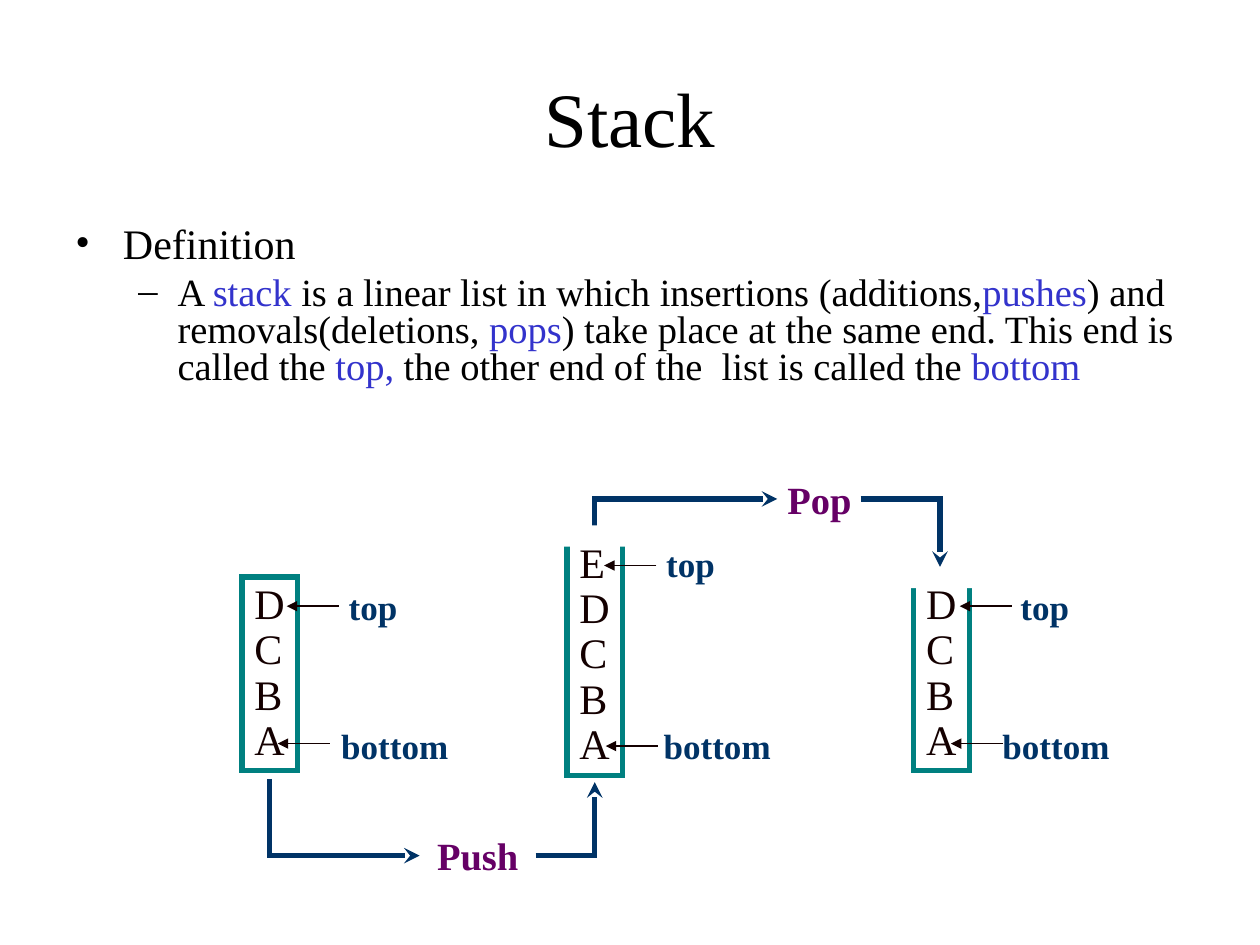
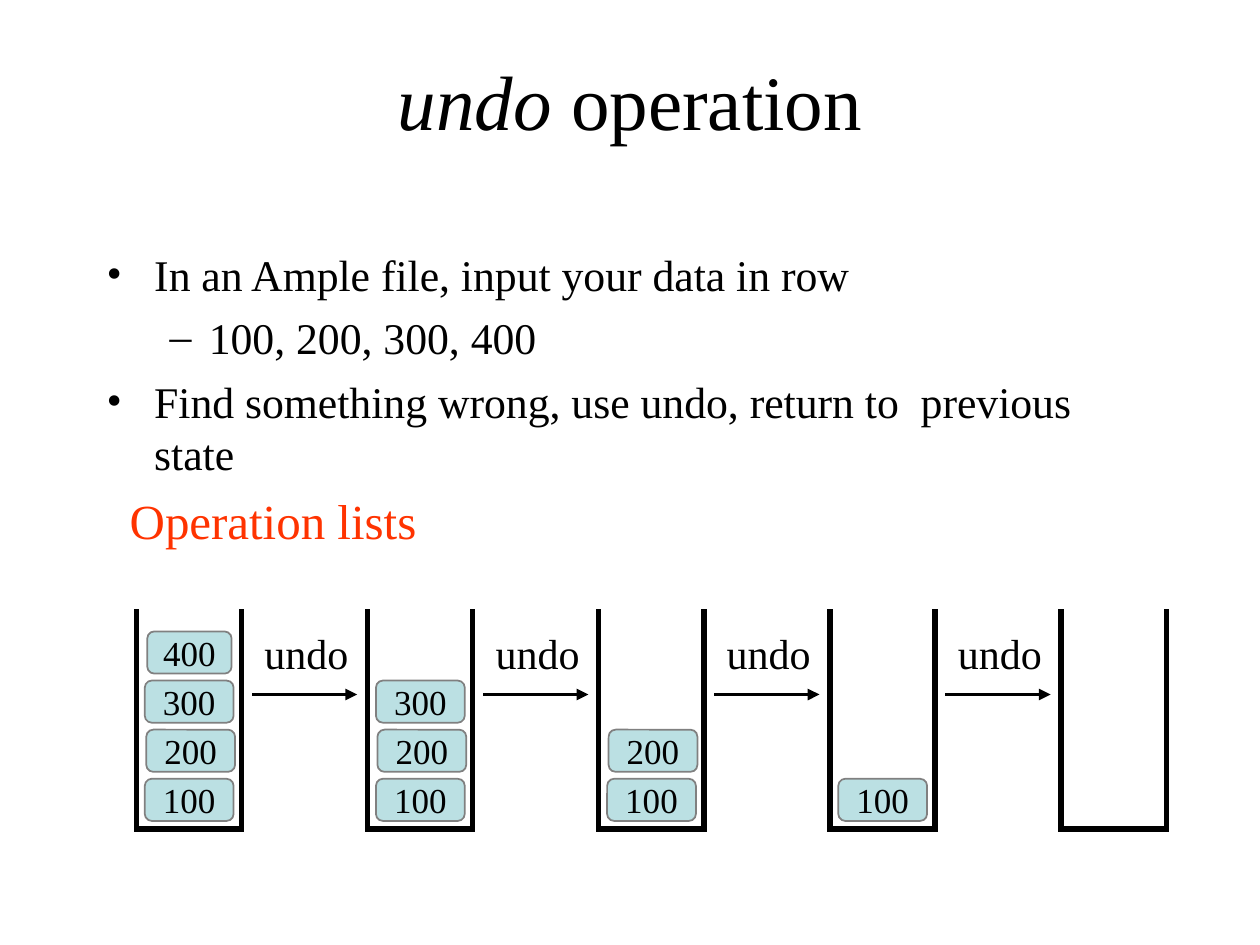
from lxml import etree
from pptx import Presentation, util as u
from pptx.dml.color import RGBColor
from pptx.enum import shapes, text
from pptx.oxml.ns import qn

FONT = "Times New Roman"
HUE = {
    "ink": "000000", "key": "3333CC", "wall": "008080", "item": "140000",
    "label": "003366", "verb": "660066", "red": "FF3300",
    "block": "BBE0E3", "edge": "808080", "page": "FFFFFF",
}
KIND = shapes.MSO_SHAPE
MID = text.MSO_ANCHOR.MIDDLE
HEAD = {"size": 44, "align": text.PP_ALIGN.CENTER}
LEVELS = [("•", 0.96, -0.96), ("–", 2.06, -0.79)]

DEFINE = [
    (0, 24, 6, "Definition"),
    (1, 22, 5.5, "A *stack* is a linear list in which insertions (additions,*pushes*) and "
     "removals(deletions, *pops*) take place at the same end. This end is called the"
     "* top, *the other end of the  list is called the *bottom*"),
]
UNDO = [
    (0, 25, 6.2, "In an Ample file, input your data in row"),
    (1, 25, 6.2, "100, 200, 300, 400"),
    (0, 25, 6.2, "Find something wrong, use undo, return to  previous state"),
]

STACKS = [
    {"items": "DCBA", "box": (4.88, 11.63, 1.12, 3.91),
     "tags": [("top", 6.78, 11.68, 6.83, 12.22), ("bottom", 6.63, 14.48, 6.65, 14.99)]},
    {"items": "EDCBA", "box": (11.43, 10.8, 1.12, 4.83),
     "tags": [("top", 13.18, 10.82, 13.23, 11.4), ("bottom", 13.13, 14.48, 13.26, 15.04)]},
    {"items": "DCBA", "box": (18.42, 11.63, 1.12, 3.91),
     "tags": [("top", 20.32, 11.68, 20.4, 12.22), ("bottom", 19.96, 14.48, 20.22, 14.99)]},
]
TAG_WIDTH = {"top": 1.8, "bottom": 3}
VERBS = [("Push", (8.26, 16.71, 2.74, 1.07)), ("Pop", (15.47, 9.53, 2.1, 1.07))]
BENDS = [
    ((5.44, 15.7), (8.46, 17.25), True),
    ((10.8, 17.25), (11.99, 15.77), False),
    ((11.99, 10.74), (15.67, 10.06), True),
    ((17.35, 10.06), (18.95, 11.43), False),
]
COVERS = [(11, 10.59, 1.9, 0.43), (17.98, 11.43, 1.9, 0.43)]

BLOCKS = [("100", 0.17, 1.79), ("200", 0.2, 1.79), ("300", 0.17, 1.79), ("400", 0.22, 1.7)]
BINS = 5
BIN = {"left": 2.75, "top": 12.32, "base": 16.71, "width": 2.12, "step": 4.66}


def tint(name):
    return RGBColor.from_string(HUE[name])


def cms(*vals):
    return [u.Cm(v) for v in vals]


def para(frame, line, size, hue="ink", bold=None, align=None, gap=None,
         space=None, mark=None):
    p = frame.paragraphs[0]
    if p.runs:
        p = frame.add_paragraph()
    p.font.name, p.font.size, p.font.bold = FONT, u.Pt(size), bold
    p.font.color.rgb = tint(hue)
    p.alignment = align or text.PP_ALIGN.LEFT
    if gap is not None:
        p.space_before = u.Pt(gap)
    if space:
        p.line_spacing = space
    for i, part in enumerate(line.split("*")):
        if part:
            run = p.add_run()
            run.text = part
            if i % 2 and mark == "italic":
                run.font.italic = True
            elif i % 2:
                run.font.color.rgb = tint(mark)
    return p


def setup(frame, wrap=True, anchor=text.MSO_ANCHOR.TOP):
    frame.word_wrap = wrap
    frame.vertical_anchor = anchor
    return frame


def label(slide, box, line, wrap=False, anchor=text.MSO_ANCHOR.TOP, **style):
    frame = setup(slide.shapes.add_textbox(*cms(*box)).text_frame, wrap, anchor)
    para(frame, line, **style)


def title(slide, box, line):
    label(slide, box, line, wrap=True, anchor=MID, mark="italic", **HEAD)


def bullets(slide, box, lines, space=None):
    frame = setup(slide.shapes.add_textbox(*cms(*box)).text_frame)
    for level, size, gap, line in lines:
        p = para(frame, line, size, gap=gap, space=space, mark="key")
        sign, left, hang = LEVELS[level]
        p.level = level
        prop = p._p.get_or_add_pPr()
        prop.set("marL", str(u.Cm(left)))
        prop.set("indent", str(u.Cm(hang)))
        font = prop.find(qn("a:defRPr"))
        font.addprevious(etree.Element(qn("a:buFont"), typeface=FONT))
        font.addprevious(etree.Element(qn("a:buChar"), char=sign))


def outline(item, hue, width, tip=None, cap="flat"):
    item.line.color.rgb = tint(hue)
    item.line.width = u.Pt(width)
    line = item.line._get_or_add_ln()
    line.set("cap", cap)
    etree.SubElement(line, qn("a:miter"), lim="800000")
    if tip:
        etree.SubElement(line, qn("a:tailEnd"), type=tip)


def shape(slide, kind, box, fill=None, edge=None, width=1):
    item = slide.shapes.add_shape(kind, *cms(*box))
    item.shadow.inherit = False
    if fill:
        item.fill.solid()
        item.fill.fore_color.rgb = tint(fill)
    else:
        item.fill.background()
    if edge:
        outline(item, edge, width)
    else:
        item.line.fill.background()
    return item


def link(slide, start, end, hue, width, tip=None, cap="flat",
         kind=shapes.MSO_CONNECTOR.STRAIGHT):
    item = slide.shapes.add_connector(kind, *cms(*start, *end))
    outline(item, hue, width, tip, cap)
    etree.SubElement(item._element.spPr, qn("a:effectLst"))
    return item


def bend(slide, start, end, upright):
    turn = 0
    if upright:
        mid = [(a + b) / 2 for a, b in zip(start, end)]
        dx, dy = start[0] - mid[0], start[1] - mid[1]
        sign = 1 if end[1] < start[1] else -1
        turn = 90 if sign > 0 else 270
        start = mid[0] + sign * dy, mid[1] - sign * dx
        end = mid[0] - sign * dy, mid[1] + sign * dx
    item = link(slide, start, end, "label", 3, "stealth", kind=shapes.MSO_CONNECTOR.ELBOW)
    prop = item._element.spPr
    prop.find(qn("a:prstGeom")).set("prst", "bentConnector2")
    if turn:
        prop.find(qn("a:xfrm")).set("rot", str(turn * 60000))


def stack_slide(slide):
    title(slide, (1.27, 0.76, 22.86, 3.18), "Stack")
    bullets(slide, (1.27, 4.45, 22.86, 12.57), DEFINE, 0.8)
    for stack in STACKS:
        box = shape(slide, KIND.RECTANGLE, stack["box"], edge="wall", width=3)
        frame = setup(box.text_frame, False)
        for item in stack["items"]:
            para(frame, item, 24, "item", space=0.9)
        for word, left, top, x, y in stack["tags"]:
            label(slide, (left, top, TAG_WIDTH[word], 1.12), word, wrap=True,
                  size=20, hue="label", bold=True)
            link(slide, (x, y), (x - 1.05, y), "item", 1, "triangle")
    for word, box in VERBS:
        label(slide, box, word, wrap=True, anchor=MID, size=22, hue="verb", bold=True,
              align=text.PP_ALIGN.CENTER, gap=13.8)
    for start, end, upright in BENDS:
        bend(slide, start, end, upright)
    for box in COVERS:
        shape(slide, KIND.RECTANGLE, box, fill="page")


def undo_slide(slide):
    title(slide, (1.9, 0.43, 21.6, 3.18), "*undo* operation")
    bullets(slide, (1.9, 4.87, 21.6, 9.95), UNDO)
    label(slide, (1.48, 9.53, 8.05, 1.9), "Operation lists", anchor=MID,
          size=28, hue="red", align=text.PP_ALIGN.CENTER)
    top, base = BIN["top"], BIN["base"]
    for i in range(BINS):
        left = BIN["left"] + i * BIN["step"]
        right = left + BIN["width"]
        walls = [((left, top), (left, base)), ((right, base), (right, top)),
                 ((left, base), (right, base))]
        for start, end in walls:
            link(slide, start, end, "ink", 3, cap="sq")
        for row, (word, inset, width) in enumerate(BLOCKS[:BINS - 1 - i]):
            box = (left + inset, 15.7 - row * 0.99, width, 0.85)
            block = shape(slide, KIND.ROUNDED_RECTANGLE, box, "block", "edge")
            para(setup(block.text_frame, False, MID), word, 20,
                 align=text.PP_ALIGN.CENTER)
        if i < BINS - 1:
            x = left + 2.33
            label(slide, (x, 12.52, 2.33, 1.27), "undo", wrap=True, size=24, gap=15)
            link(slide, (x, 14), (x + 2.12, 14), "ink", 2.25, "triangle")


def main():
    deck = Presentation()
    deck.slide_width, deck.slide_height = cms(25.4, 19.05)
    for draw in (stack_slide, undo_slide):
        draw(deck.slides.add_slide(deck.slide_layouts[6]))
    deck.save("out.pptx")


if __name__ == "__main__":
    main()
